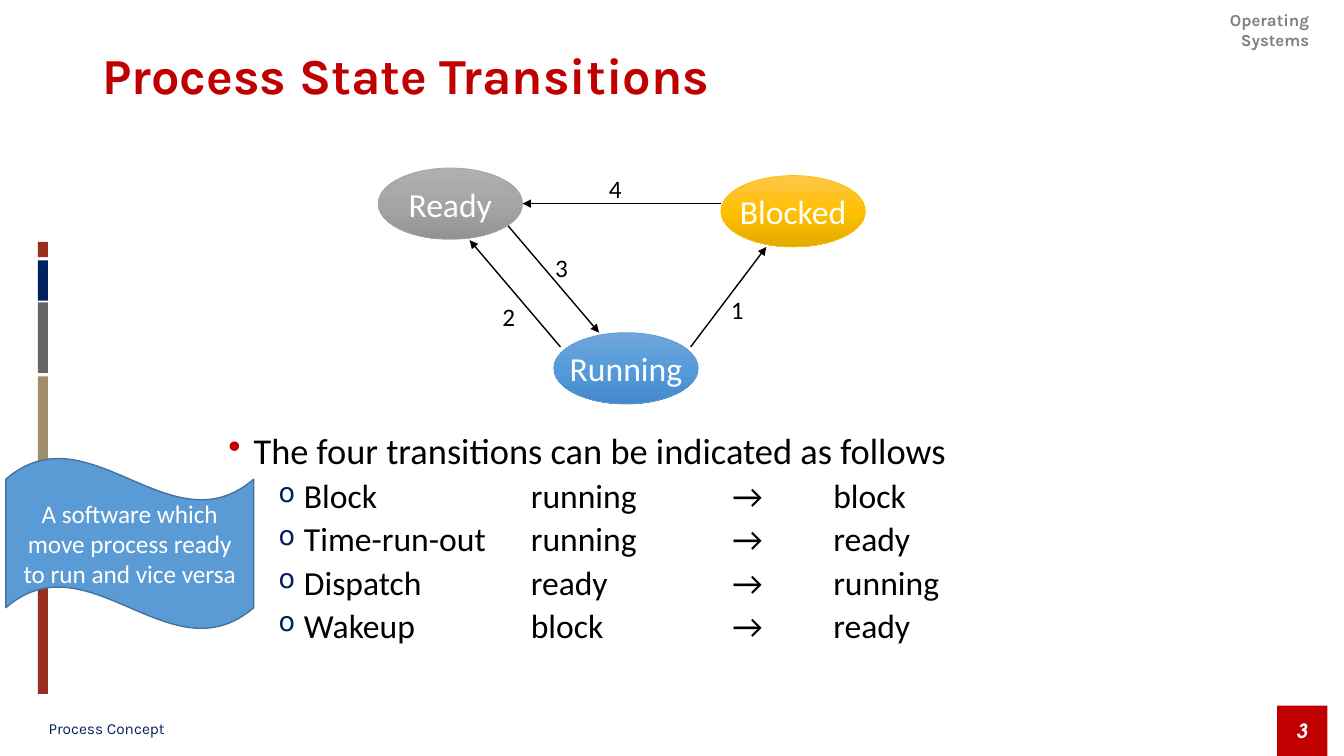
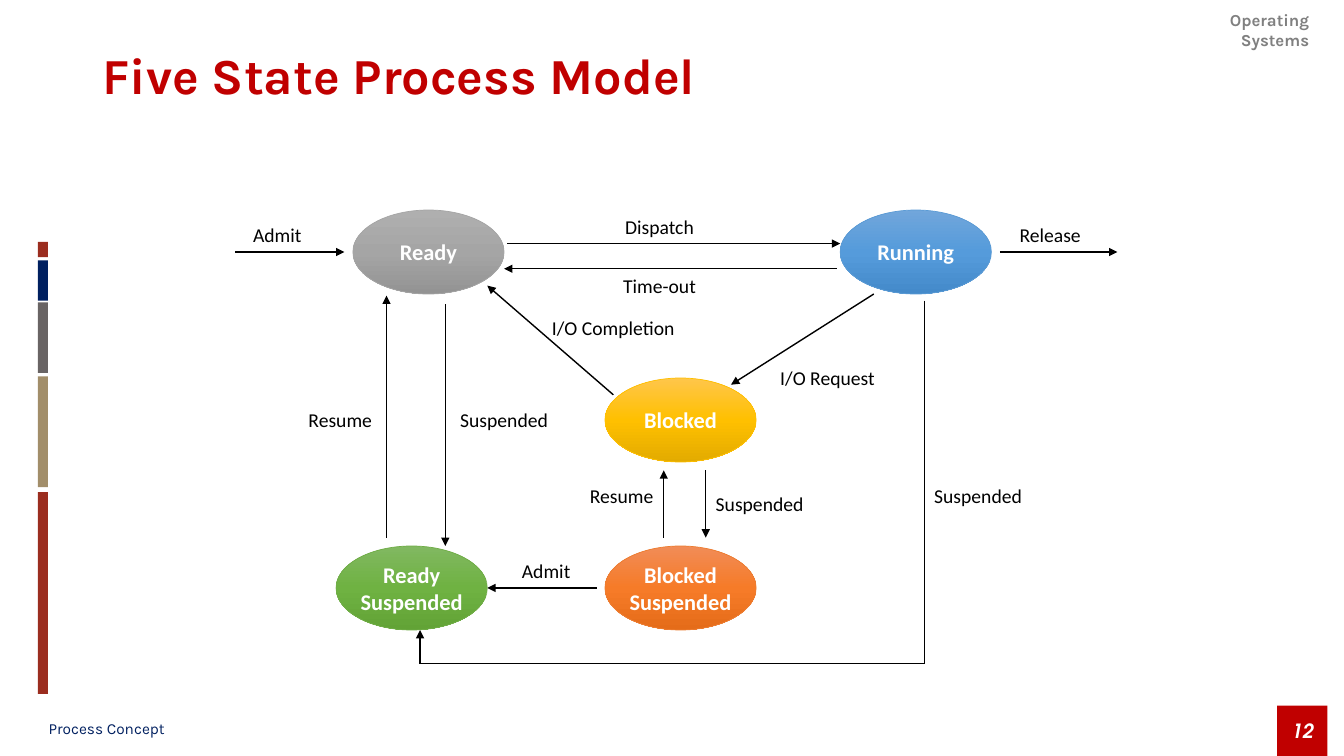
from copy import deepcopy
from dataclasses import dataclass

from lxml.etree import SubElement
from pptx import Presentation
from pptx.dml.color import RGBColor
from pptx.enum.shapes import MSO_CONNECTOR, MSO_SHAPE
from pptx.enum.text import MSO_ANCHOR, PP_ALIGN
from pptx.oxml.ns import qn
from pptx.util import Emu, Inches, Pt

CELLS_PER_INCH = 12  # every length below counts cells of this grid

RED = RGBColor(0xC0, 0x00, 0x00)
NAVY = RGBColor(0x00, 0x20, 0x60)
RUST = RGBColor(0x9B, 0x2D, 0x1F)
TAN = RGBColor(0xA2, 0x8E, 0x6A)
SLATE = RGBColor(0x69, 0x64, 0x64)
GRAY = RGBColor(0x80, 0x80, 0x80)
SKY = RGBColor(0x5B, 0x9B, 0xD5)
SKY_EDGE = RGBColor(0x43, 0x73, 0x9E)
BLACK = RGBColor(0x00, 0x00, 0x00)
WHITE = RGBColor(0xFF, 0xFF, 0xFF)

HEAD_FONT, BODY_FONT, NUMBER_FONT = "Karla", "Calibri", "TeX Gyre Adventor"


@dataclass(frozen=True)
class Style:
    size: float
    color: RGBColor = BLACK
    font: str = BODY_FONT
    bold: bool = False
    italic: bool = False


@dataclass(frozen=True)
class Box:
    left: float
    top: float
    width: float
    height: float


@dataclass(frozen=True)
class Tint:
    top: RGBColor
    middle: RGBColor
    bottom: RGBColor
    edge: RGBColor


@dataclass(frozen=True)
class State:
    name: str
    left: float
    top: float
    tint: Tint


@dataclass(frozen=True)
class Arrow:
    x1: float
    y1: float
    x2: float
    y2: float
    head: bool = True


@dataclass(frozen=True)
class Label:
    text: str
    left: float
    top: float
    width: float
    align: PP_ALIGN = PP_ALIGN.CENTER


@dataclass(frozen=True)
class Stripe:
    top: float
    height: float
    color: RGBColor


def tint(*codes: str) -> Tint:
    return Tint(*(RGBColor.from_string(code) for code in codes))


READY = tint("AFAFAF", "A5A5A5", "939393", "A5A5A5")
RUNNING = tint("71A6DB", "559BDB", "448ACA", "5B9BD5")
BLOCKED = tint("FFC64B", "FFC000", "E3AB00", "FFC000")
READY_SUSPENDED = tint("81B861", "6FB242", "62A336", "70AD47")
BLOCKED_SUSPENDED = tint("F18C57", "F67B28", "E56C19", "ED7D31")

TITLE = Style(36, RED, HEAD_FONT, bold=True)
COURSE = Style(12, GRAY, HEAD_FONT, bold=True)
FOOTER = Style(11, NAVY, HEAD_FONT)
NUMBER = Style(14, WHITE, NUMBER_FONT, bold=True, italic=True)

STRIPES = [
    Stripe(28.8, 1.8, RUST),
    Stripe(31, 4.8, NAVY),
    Stripe(36, 8.4, SLATE),
    Stripe(44.8, 13.2, TAN),
    Stripe(58.6, 24, RUST),
]


# Drawing helpers

def cells(n: float) -> Emu:
    return Inches(n / CELLS_PER_INCH)


def frame(box: Box) -> tuple[Emu, ...]:
    return tuple(cells(n) for n in (box.left, box.top, box.width, box.height))


def add_run(p, text: str, style: Style) -> None:
    r = p.add_run()
    r.text = text
    r.font.name = style.font
    r.font.size = Pt(style.size)
    r.font.bold = style.bold
    r.font.italic = style.italic
    r.font.color.rgb = style.color


def write(sp, text: str, style: Style, align=PP_ALIGN.LEFT,
          anchor=MSO_ANCHOR.TOP, wrap: bool = True):
    tf = sp.text_frame
    tf.word_wrap = wrap
    tf.vertical_anchor = anchor
    for i, line in enumerate(text.split("\n")):
        p = tf.add_paragraph() if i else tf.paragraphs[0]
        p.alignment = align
        add_run(p, line, style)
    return tf


def add_text(s, box: Box, text: str, style: Style, **layout):
    return write(s.shapes.add_textbox(*frame(box)), text, style, **layout)


def add_shape(s, kind: MSO_SHAPE, box: Box, color: RGBColor | None = None):
    sp = s.shapes.add_shape(kind, *frame(box))
    sp.shadow.inherit = False
    sp.line.fill.background()
    if color is not None:
        sp.fill.solid()
        sp.fill.fore_color.rgb = color
    return sp


def add_state(s, state: State, width: float, height: float, style: Style) -> None:
    sp = add_shape(s, MSO_SHAPE.OVAL, Box(state.left, state.top, width, height))
    colors = state.tint
    sp.fill.gradient()
    sp.fill.gradient_angle = 270
    first = next(sp._element.iter(qn("a:gs")))
    first.addnext(deepcopy(first))
    shades = (colors.top, colors.middle, colors.bottom)
    for stop, color, position in zip(sp.fill.gradient_stops, shades, (0, 0.5, 1)):
        stop.color.rgb = color
        stop.position = position
    sp.line.color.rgb = colors.edge
    sp.line.width = Pt(0.5)
    write(sp, state.name, style, align=PP_ALIGN.CENTER,
          anchor=MSO_ANCHOR.MIDDLE, wrap=False)


def add_arrow(s, arrow: Arrow) -> None:
    ends = (cells(n) for n in (arrow.x1, arrow.y1, arrow.x2, arrow.y2))
    line = s.shapes.add_connector(MSO_CONNECTOR.STRAIGHT, *ends)
    line.line.color.rgb = BLACK
    line.line.width = Pt(1)
    if arrow.head:
        SubElement(line.line._get_or_add_ln(), qn("a:tailEnd"), type="triangle")
    SubElement(line._element.spPr, qn("a:effectLst"))


def add_diagram(s, states: list[State], width: float, height: float,
                state_style: Style, arrows: list[Arrow],
                labels: list[Label], label_style: Style) -> None:
    for arrow in arrows:
        add_arrow(s, arrow)
    for label in labels:
        add_text(s, Box(label.left, label.top, label.width, 4), label.text,
                 label_style, align=label.align)
    for state in states:
        add_state(s, state, width, height, state_style)


def set_bullet(p, char: str, color: RGBColor, indent: float,
               before: float, percent: int = 100) -> None:
    p.line_spacing = 0.9
    p.space_before = Pt(before)
    ppr = p._p.get_or_add_pPr()
    ppr.set("marL", str(Inches(indent)))
    ppr.set("indent", str(Inches(-0.25)))
    ppr.set("defTabSz", str(Inches(1)))
    SubElement(SubElement(ppr, qn("a:buClr")), qn("a:srgbClr"), val=str(color))
    SubElement(ppr, qn("a:buSzPct"), val=str(percent * 1000))
    SubElement(ppr, qn("a:buChar"), char=char)


# Parts shared by both slides

def new_slide(prs, title: str, number: int):
    s = prs.slides.add_slide(prs.slide_layouts[6])
    add_text(s, Box(138.6, 0.6, 18.4, 3.6), "Operating Systems", COURSE,
             align=PP_ALIGN.RIGHT)
    badge = add_shape(s, MSO_SHAPE.RECTANGLE, Box(152, 84, 6, 6), RED)
    write(badge, str(number), NUMBER, align=PP_ALIGN.CENTER,
          anchor=MSO_ANCHOR.MIDDLE)
    add_text(s, Box(4.6, 84.7, 52.8, 4), "Process Concept", FOOTER,
             anchor=MSO_ANCHOR.MIDDLE)
    for stripe in STRIPES:
        add_shape(s, MSO_SHAPE.RECTANGLE,
                  Box(4.5, stripe.top, 1.2, stripe.height), stripe.color)
    tf = add_text(s, Box(11, 0.6, 138, 17.4), title, TITLE,
                  anchor=MSO_ANCHOR.MIDDLE)
    tf.paragraphs[0].line_spacing = 0.9
    return s


# Slide with the three states and the list of transitions

def transitions_slide(prs) -> None:
    s = new_slide(prs, "Process State Transitions", 3)
    states = [
        State("Ready", 45, 20, READY),
        State("Running", 65.9, 39.6, RUNNING),
        State("Blocked", 85.8, 20.9, BLOCKED),
    ]
    arrows = [
        Arrow(66.7, 41.3, 55.9, 28.6),
        Arrow(60.4, 26.8, 71.3, 39.6),
        Arrow(85.8, 24.25, 62.2, 24.25),
        Arrow(82.2, 41.3, 91.2, 29.4),
    ]
    labels = [
        Label("1", 85.8, 34.4, 9.1, PP_ALIGN.LEFT),
        Label("2", 58.6, 35.3, 4.6, PP_ALIGN.LEFT),
        Label("3", 64.9, 29.4, 3.6, PP_ALIGN.LEFT),
        Label("4", 71.3, 20, 9.1, PP_ALIGN.LEFT),
    ]
    add_diagram(s, states, 17.2, 8.5, Style(24, WHITE), arrows, labels, Style(18))

    tf = add_text(s, Box(26, 51, 108, 29.4),
                  "The four transitions can be indicated as follows", Style(26))
    set_bullet(tf.paragraphs[0], "•", RED, 0.25, 10)
    for line in ("Block\t\trunning\t→\tblock",
                 "Time-run-out\trunning \t→\tready",
                 "Dispatch\t\tready \t\t→\trunning",
                 "Wakeup\t\tblock\t\t→\tready"):
        p = tf.add_paragraph()
        p.level = 1
        add_run(p, line, Style(24))
        set_bullet(p, "o", NAVY, 0.75, 5, 80)

    note = add_shape(s, MSO_SHAPE.WAVE, Box(0.7, 54.5, 29.5, 20.4), SKY)
    note.line.color.rgb = SKY_EDGE
    note.line.width = Pt(1)
    write(note, "A software which move process ready to run and vice versa",
          Style(18, WHITE), align=PP_ALIGN.CENTER, anchor=MSO_ANCHOR.MIDDLE)


# Slide with the five states

def five_state_slide(prs) -> None:
    s = new_slide(prs, "Five State Process Model", 12)
    states = [
        State("Ready", 42, 25, READY),
        State("Running", 100, 25, RUNNING),
        State("Blocked", 72, 45, BLOCKED),
        State("Ready\nSuspended", 40, 65, READY_SUSPENDED),
        State("Blocked\nSuspended", 72, 65, BLOCKED_SUSPENDED),
    ]
    arrows = [
        Arrow(28, 30, 41, 30), Arrow(119, 30, 133, 30),
        Arrow(60.4, 29, 100, 29), Arrow(99.6, 32, 60, 32),
        Arrow(104, 35, 87, 45.8), Arrow(73, 47, 58, 34),
        Arrow(46, 64, 46, 35.2), Arrow(53, 36.2, 53, 65),
        Arrow(79, 64, 79, 56), Arrow(84, 56, 84, 64),
        Arrow(71, 70, 58, 70), Arrow(50, 79, 50, 75),
        Arrow(50, 79, 110, 79, head=False),
        Arrow(110, 35.8, 110, 79, head=False),
    ]
    labels = [
        Label("Admit", 28, 26, 10), Label("Release", 119, 26, 12),
        Label("Dispatch", 71, 25, 15), Label("Time-out", 71, 32, 15),
        Label("I/O Completion", 64, 37, 18), Label("I/O Request", 90, 43, 17),
        Label("Resume", 34, 48, 13), Label("Suspended", 52, 48, 16),
        Label("Resume", 68, 57, 12), Label("Admit", 60, 66, 10),
        Label("Suspended", 84, 58, 16, PP_ALIGN.LEFT),
        Label("Suspended", 110, 57, 16, PP_ALIGN.LEFT),
    ]
    add_diagram(s, states, 18, 10, Style(16, WHITE, bold=True),
                arrows, labels, Style(14))


def main() -> None:
    prs = Presentation()
    prs.slide_width, prs.slide_height = Inches(13.33), Inches(7.5)
    transitions_slide(prs)
    five_state_slide(prs)
    prs.save("out.pptx")


if __name__ == "__main__":
    main()
